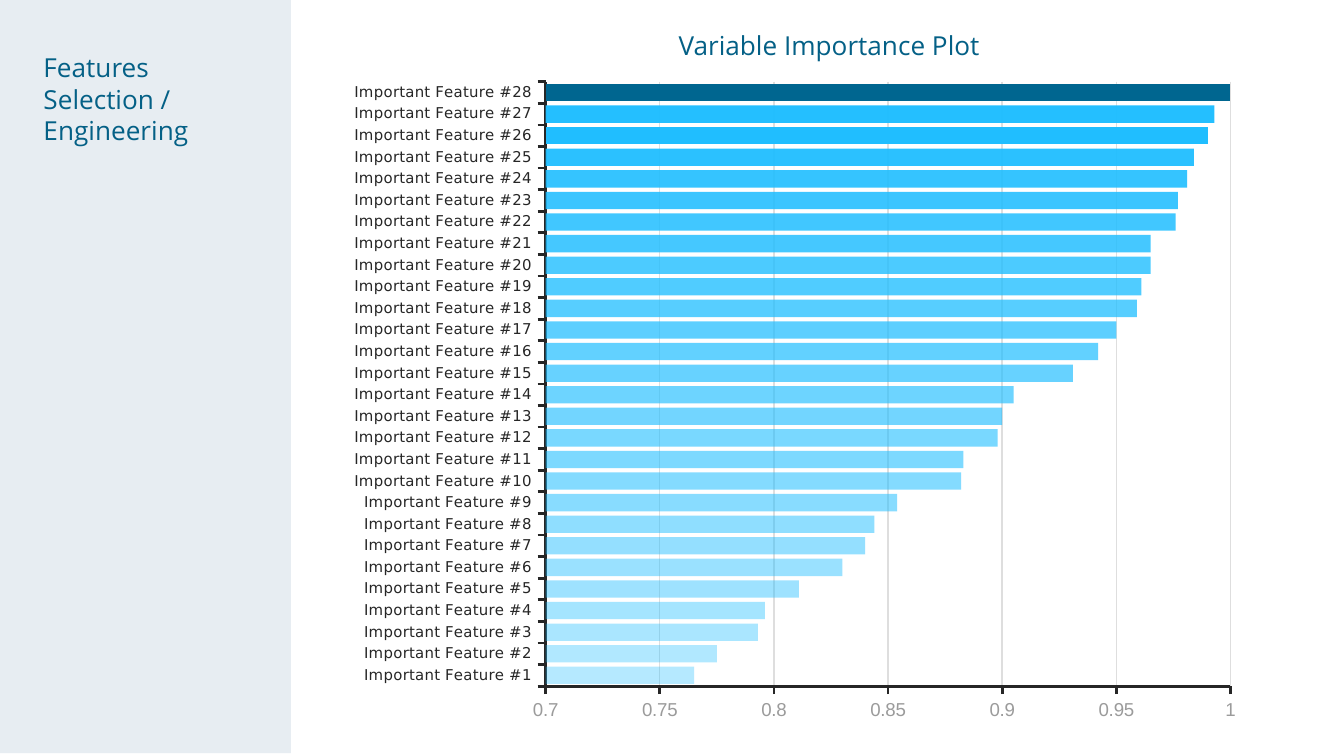
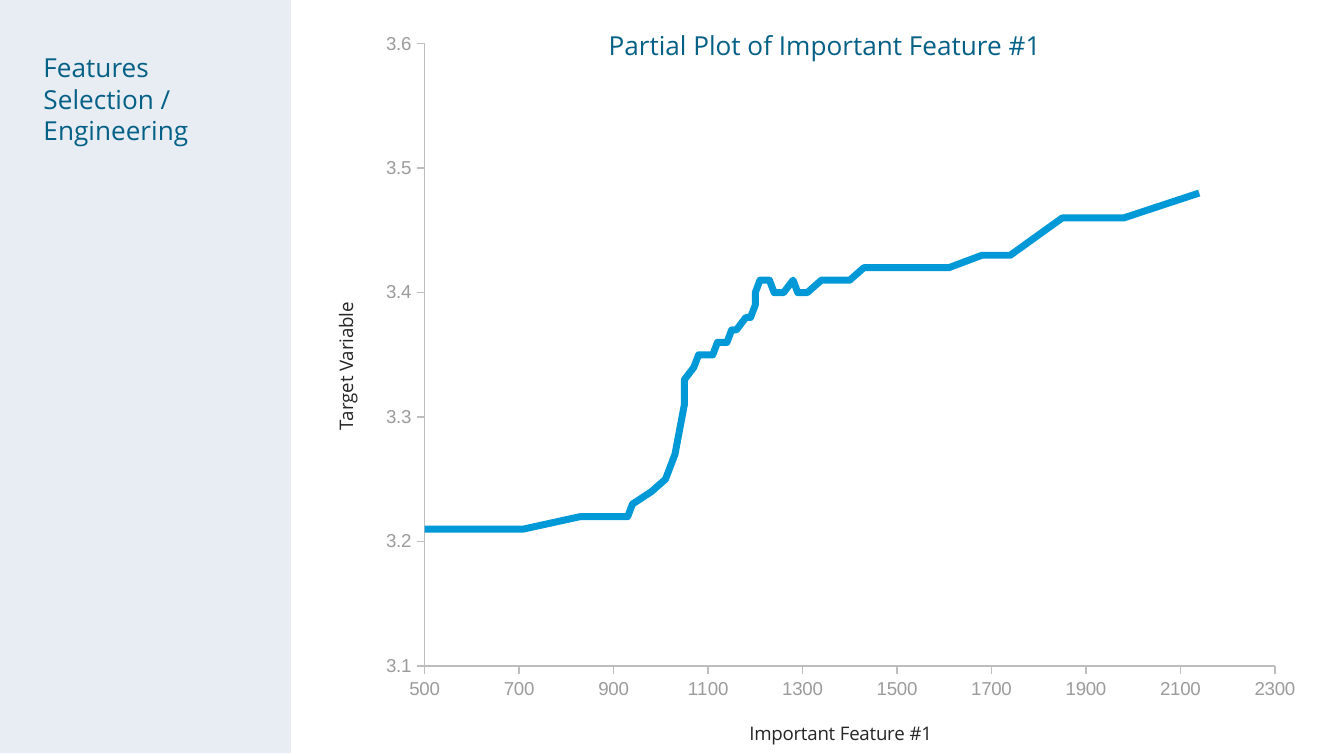
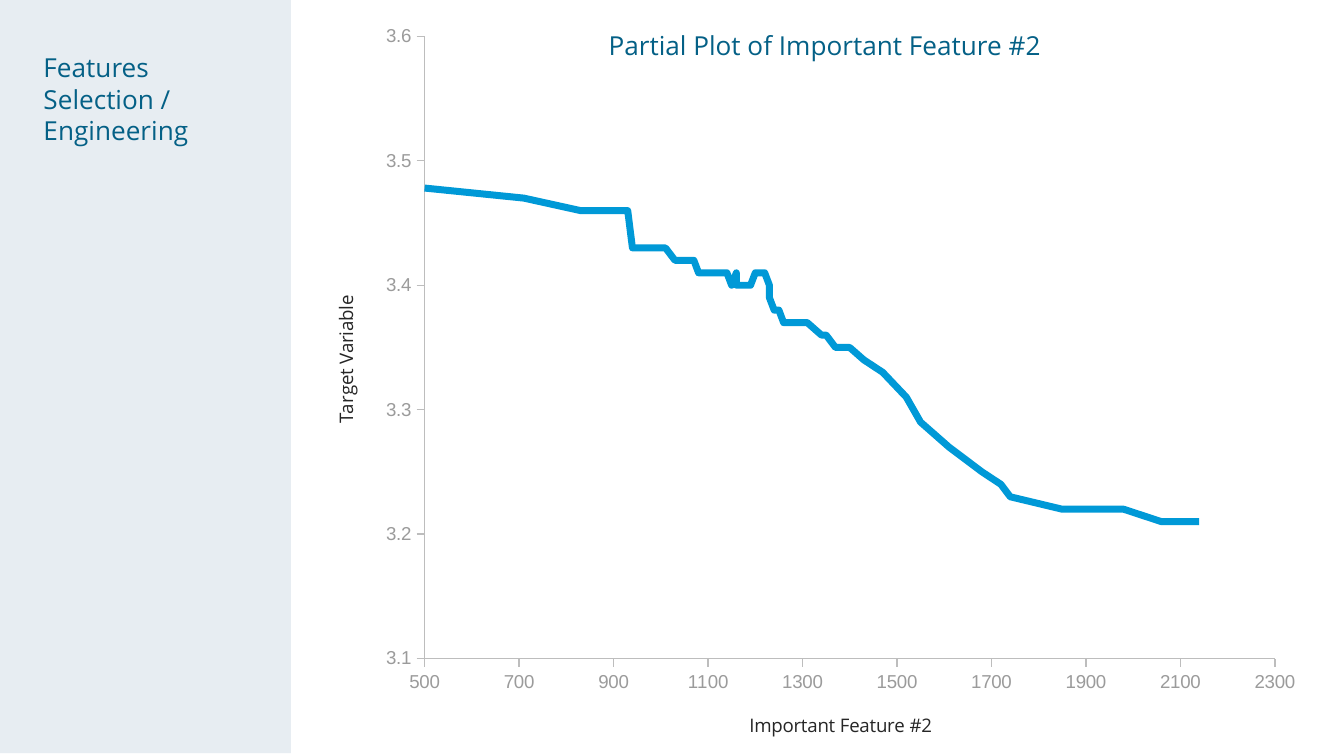
from math import floor

from lxml.etree import SubElement
from pptx import Presentation
from pptx.chart.data import CategoryChartData, XyChartData
from pptx.dml.color import RGBColor
from pptx.enum.chart import XL_CHART_TYPE, XL_TICK_MARK
from pptx.enum.shapes import MSO_SHAPE
from pptx.enum.text import MSO_AUTO_SIZE, PP_ALIGN
from pptx.oxml.ns import qn
from pptx.util import Emu, Pt

EMU_PER_PX = 4572  # 200 px to the inch
SLIDE_WIDTH, SLIDE_HEIGHT = 2000, 1125
COLORS = {
    "panel": "E7EDF2",
    "title": "046086",
    "text": "262626",
    "tick_label": "9B9B9B",
    "thin_axis": "BDBDBD",
    "grid": "DEDEDE",
    "bar": "20BEFF",
    "top_bar": "006690",
    "curve": "0099D7",
}
TITLE_FONT, CHART_FONT, LABEL_FONT = "Open Sans", "Arial", "DejaVu Sans"

SIDE_PANEL = (0, -4, 433, SLIDE_HEIGHT)
CHART_TITLE = (886, 34, 696, 68)
PLOT_LAYOUT = {"x": 0.133, "y": 0.033, "w": 0.783, "h": 0.845}

IMPORTANCES = [
    0.765, 0.775, 0.793, 0.796, 0.811, 0.83, 0.84, 0.844, 0.854, 0.882,
    0.883, 0.898, 0.9, 0.905, 0.931, 0.942, 0.95, 0.959, 0.961, 0.965,
    0.965, 0.976, 0.977, 0.981, 0.984, 0.99, 0.993, 1,
]
# Opacity grows by 2.5 points a bar; the last four are set apart
OPACITIES = [floor(33 + 2.5 * i) for i in range(24)] + [95, 100, 98, 100]

FEATURE_VALUES = [
    450, 710, 830, 930, 940, 980, 1010, 1030, 1040, 1050,
    1050, 1070, 1080, 1110, 1120, 1140, 1150, 1150, 1160, 1160,
    1180, 1190, 1200, 1200, 1210, 1220, 1230, 1230, 1240, 1250,
    1260, 1280, 1290, 1310, 1340, 1350, 1370, 1400, 1430, 1470,
    1520, 1550, 1610, 1680, 1720, 1740, 1850, 1980, 2060, 2140,
]
RISING_TARGET = [
    3.21, 3.21, 3.22, 3.22, 3.23, 3.24, 3.25, 3.27, 3.29, 3.31,
    3.33, 3.34, 3.35, 3.35, 3.36, 3.36, 3.37, 3.37, 3.37, 3.37,
    3.38, 3.38, 3.39, 3.4, 3.41, 3.41, 3.41, 3.41, 3.4, 3.4,
    3.4, 3.41, 3.4, 3.4, 3.41, 3.41, 3.41, 3.41, 3.42, 3.42,
    3.42, 3.42, 3.42, 3.43, 3.43, 3.43, 3.46, 3.46, 3.47, 3.48,
]
FALLING_TARGET = [
    3.48, 3.47, 3.46, 3.46, 3.43, 3.43, 3.43, 3.42, 3.42, 3.42,
    3.42, 3.42, 3.41, 3.41, 3.41, 3.41, 3.4, 3.4, 3.41, 3.4,
    3.4, 3.4, 3.41, 3.41, 3.41, 3.41, 3.4, 3.39, 3.38, 3.38,
    3.37, 3.37, 3.37, 3.37, 3.36, 3.36, 3.35, 3.35, 3.34, 3.33,
    3.31, 3.29, 3.27, 3.25, 3.24, 3.23, 3.22, 3.22, 3.21, 3.21,
]


def to_emu(box):
    return [Emu(length * EMU_PER_PX) for length in box]


def rgb(name):
    return RGBColor.from_string(COLORS[name])


def set_font(font, size, color, name):
    font.size, font.name, font.bold = Pt(size), name, False
    font.color.rgb = rgb(color)


def write_text(text_frame, text, size=14, color="title", font=TITLE_FONT, align=None):
    paragraph = text_frame.paragraphs[0]
    paragraph.alignment = align
    run = paragraph.add_run()
    run.text = text
    set_font(run.font, size, color, font)


def add_text(slide, box, text, **text_format):
    text_frame = slide.shapes.add_textbox(*to_emu(box)).text_frame
    text_frame.word_wrap = True
    text_frame.auto_size = MSO_AUTO_SIZE.SHAPE_TO_FIT_TEXT
    write_text(text_frame, text, **text_format)


def add_side_panel(slide, box):
    left, top, width, _ = box
    panel = slide.shapes.add_shape(MSO_SHAPE.RECTANGLE, *to_emu(box))
    panel.shadow.inherit = False
    panel.fill.solid()
    panel.fill.fore_color.rgb = rgb("panel")
    panel.line.fill.background()
    add_text(slide, (left + 45, top + 71, width - 89, 162),
             "Features Selection / Engineering")


def add_chart(slide, box, chart_type, data, size):
    chart = slide.shapes.add_chart(chart_type, *to_emu(box), data).chart
    chart.has_legend = chart.has_title = False
    set_font(chart.font, size, "text", CHART_FONT)
    chart.plots[0].vary_by_categories = False
    return chart


def style_axis(axis, line, width, size=10, color="tick_label", font=CHART_FONT):
    axis.has_major_gridlines = False
    axis.major_tick_mark = XL_TICK_MARK.OUTSIDE
    axis.minor_tick_mark = XL_TICK_MARK.NONE
    axis.format.line.color.rgb = rgb(line)
    axis.format.line.width = Pt(width)
    set_font(axis.tick_labels.font, size, color, font)


def set_scale(axis, minimum, maximum, step):
    axis.minimum_scale, axis.maximum_scale, axis.major_unit = minimum, maximum, step


def set_plot_layout(chart, layout):
    plot_area = chart.element.find(".//" + qn("c:plotArea"))
    for old_layout in plot_area.findall(qn("c:layout")):
        plot_area.remove(old_layout)
    holder = SubElement(plot_area, qn("c:layout"))
    plot_area.insert(0, holder)
    manual = SubElement(holder, qn("c:manualLayout"))
    settings = {"layoutTarget": "inner", "xMode": "edge", "yMode": "edge", **layout}
    for tag, value in settings.items():
        SubElement(manual, qn("c:" + tag)).set("val", str(value))


def add_importance_chart(slide, box):
    data = CategoryChartData()
    data.categories = [f"Important Feature #{i + 1}" for i in range(len(IMPORTANCES))]
    data.add_series("Series 1", IMPORTANCES)
    chart = add_chart(slide, box, XL_CHART_TYPE.BAR_CLUSTERED, data, size=18)

    # Axes
    style_axis(chart.category_axis, "text", 1.5, size=8, color="text", font=LABEL_FONT)
    axis = chart.value_axis
    style_axis(axis, "text", 1.5)
    set_scale(axis, 0.7, 1, 0.05)
    axis.tick_labels.number_format = "General"
    axis.tick_labels.number_format_is_linked = False
    axis.has_major_gridlines = True
    axis.major_gridlines.format.line.color.rgb = rgb("grid")
    axis.major_gridlines.format.line.width = Pt(0.75)

    # Bars, fading towards the least important
    chart.plots[0].gap_width = 25
    series = chart.plots[0].series[0]
    fills = [series.format.fill]
    fills += [series.points[i].format.fill for i in range(len(IMPORTANCES))]
    for fill in fills:
        fill.solid()
        fill.fore_color.rgb = rgb("bar")
    fills[-1].fore_color.rgb = rgb("top_bar")
    for point, opacity in zip(chart.element.iter(qn("c:dPt")), OPACITIES):
        if opacity < 100:
            color = next(point.iter(qn("a:srgbClr")))
            SubElement(color, qn("a:alpha")).set("val", str(opacity * 1000))


def add_partial_chart(slide, box, feature, targets):
    data = XyChartData()
    points = data.add_series("Series 1")
    for x, y in zip(FEATURE_VALUES, targets):
        points.add_data_point(x, y)
    chart = add_chart(slide, box, XL_CHART_TYPE.XY_SCATTER_LINES_NO_MARKERS, data, size=10)
    set_plot_layout(chart, PLOT_LAYOUT)

    # Axes
    for axis, title, scale in (
        (chart.category_axis, feature, (500, 2300, 200)),
        (chart.value_axis, "Target Variable", (3.1, 3.6, 0.1)),
    ):
        style_axis(axis, "thin_axis", 0.75)
        set_scale(axis, *scale)
        write_text(axis.axis_title.text_frame, title, size=10, color="text")

    # Curve
    series = chart.plots[0].series[0]
    series.smooth = False
    series.format.line.color.rgb = rgb("curve")
    series.format.line.width = Pt(3.75)


def add_slide(presentation):
    slide = presentation.slides.add_slide(presentation.slide_layouts[6])
    add_side_panel(slide, SIDE_PANEL)
    return slide


def add_importance_slide(presentation):
    slide = add_slide(presentation)
    add_importance_chart(slide, (500, 102, 1366, 990))
    add_text(slide, CHART_TITLE, "Variable Importance Plot", align=PP_ALIGN.CENTER)


def add_partial_slide(presentation, feature, chart_top, targets):
    slide = add_slide(presentation)
    add_partial_chart(slide, (417, chart_top, 1616, 1096), feature, targets)
    add_text(slide, CHART_TITLE, f"Partial Plot of {feature}")


def main():
    presentation = Presentation()
    presentation.slide_width, presentation.slide_height = to_emu((SLIDE_WIDTH, SLIDE_HEIGHT))
    add_importance_slide(presentation)
    add_partial_slide(presentation, "Important Feature #1", 29, RISING_TARGET)
    add_partial_slide(presentation, "Important Feature #2", 18, FALLING_TARGET)
    presentation.save("out.pptx")


if __name__ == "__main__":
    main()
